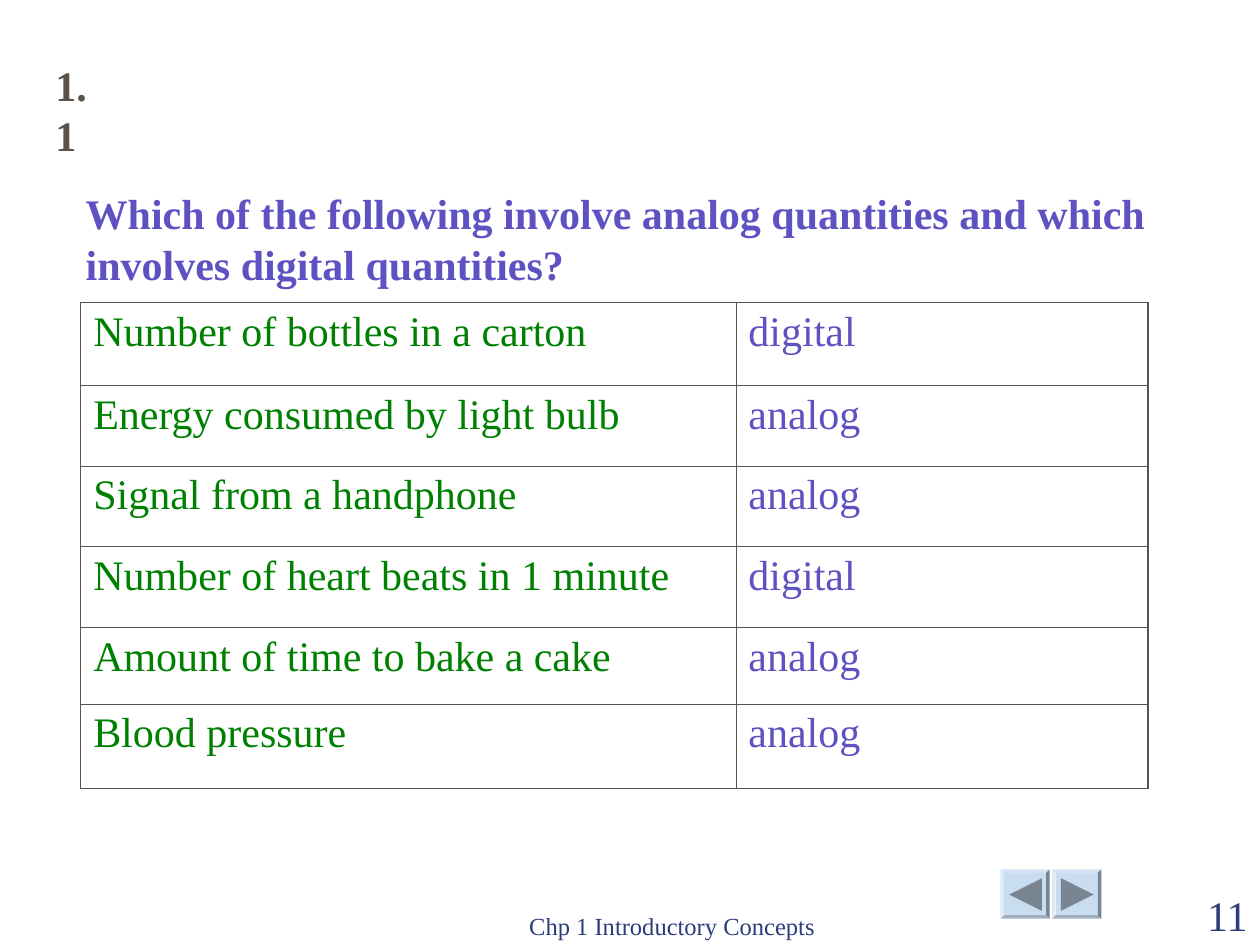
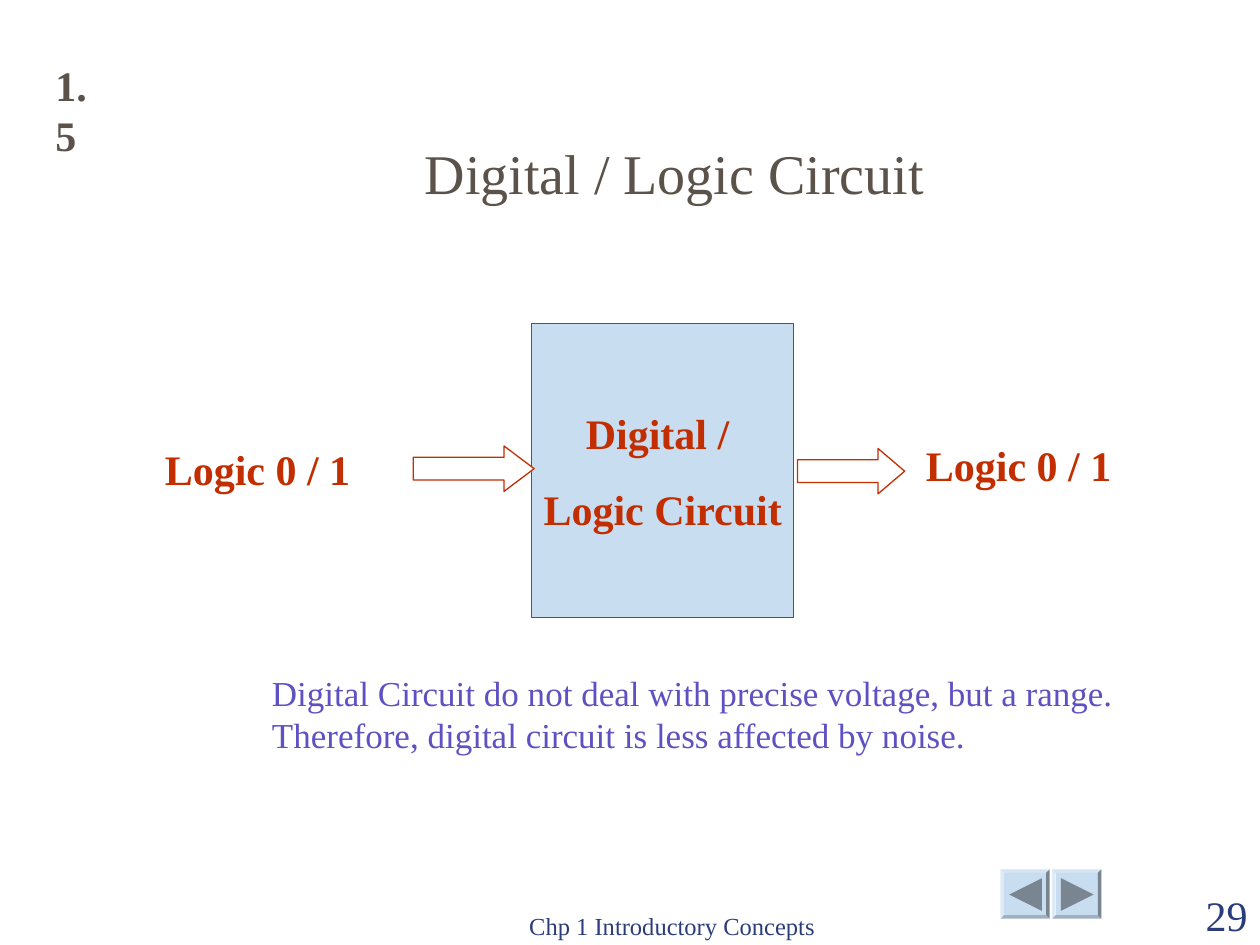
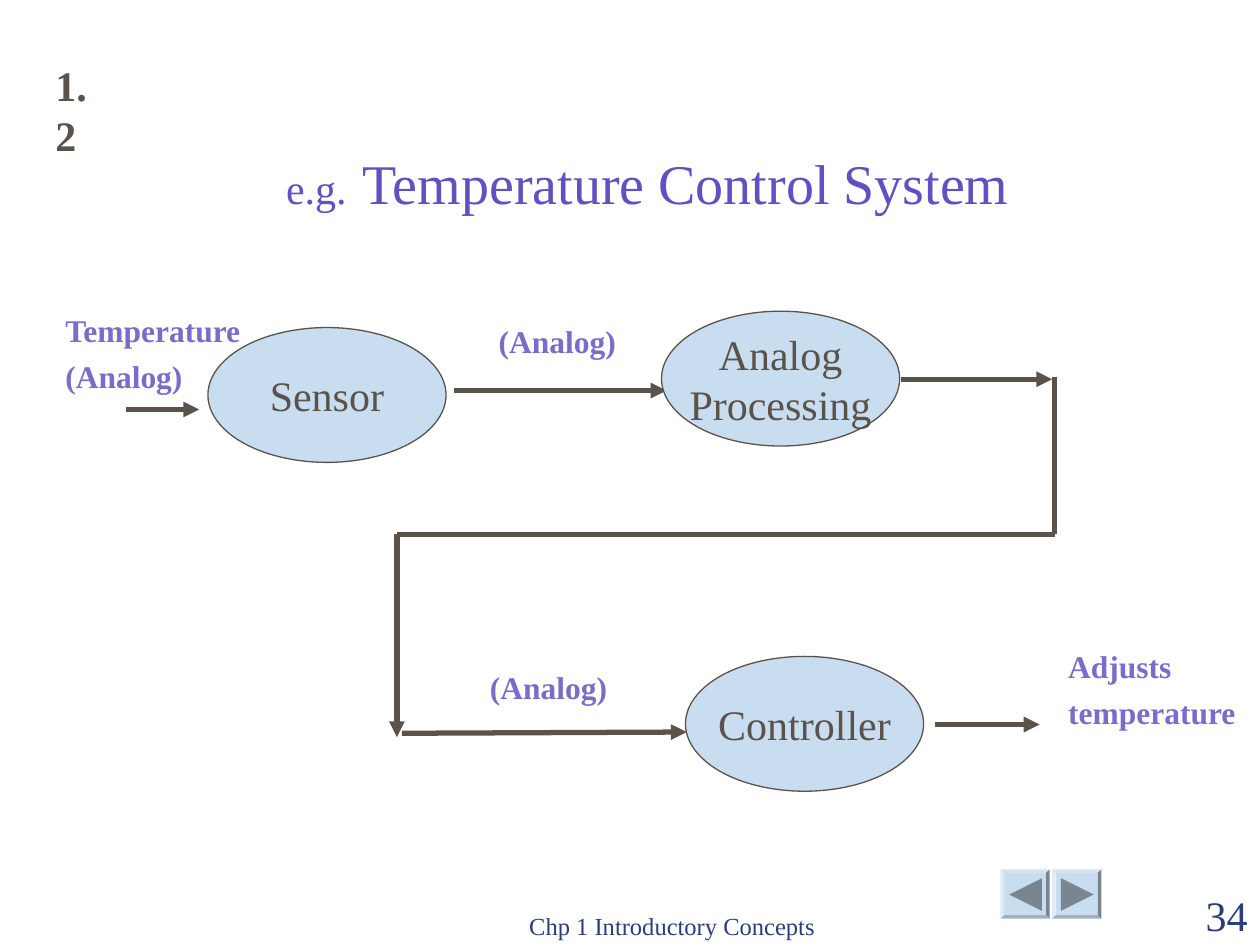
from lxml.etree import SubElement
from pptx import Presentation
from pptx.dml.color import RGBColor
from pptx.enum.shapes import MSO_CONNECTOR, MSO_SHAPE
from pptx.enum.text import MSO_ANCHOR, MSO_AUTO_SIZE, PP_ALIGN
from pptx.oxml.ns import qn
from pptx.util import Inches, Pt

FONT = "Times New Roman"
BROWN = RGBColor(0x5B, 0x52, 0x49)
PURPLE = RGBColor(0x5E, 0x51, 0xC1)
LILAC = RGBColor(0x78, 0x6D, 0xCB)
GREEN = RGBColor(0x00, 0x80, 0x00)
RED = RGBColor(0xC2, 0x2E, 0x00)
NAVY = RGBColor(0x2A, 0x3D, 0x7A)
PALE_BLUE = RGBColor(0xC9, 0xDD, 0xF1)
GREY = RGBColor(0x79, 0x85, 0x91)
WHITE = RGBColor(0xFF, 0xFF, 0xFF)

HEADING = {"size": Pt(24), "bold": True, "color": BROWN}
QUESTION = {"size": Pt(24), "bold": True, "color": PURPLE}
TITLE = {"size": Pt(32), "bold": False, "color": BROWN}
LOGIC = {"size": Pt(24), "bold": True, "color": RED}
NOTE = {"size": Pt(20), "color": PURPLE}
STAGE = {"size": Pt(24), "color": BROWN}
SIGNAL = {"size": Pt(18), "bold": True, "color": LILAC}
FOOTER = {"size": Pt(14), "color": NAVY}
NUMBER = {"size": Pt(24), "color": NAVY}

FOOTER_TEXT = "Chp 1 Introductory Concepts"
BUTTON_SIZE, BUTTON_TOP = 0.39, 6.9
# left edge of each button, then its triangle as x and y offsets
BUTTONS = [
    (7.94, [(0.07, 0.2), (0.33, 0.07), (0.33, 0.33)]),
    (8.35, [(0.07, 0.07), (0.33, 0.2), (0.07, 0.33)]),
]

QUANTITIES = [
    ("Number of bottles in a carton", "digital"),
    ("Energy consumed by light bulb", "analog"),
    ("Signal from a handphone", "analog"),
    ("Number of heart beats in 1 minute", "digital"),
    ("Amount of time to bake a cake", "analog"),
    ("Blood pressure", "analog"),
]
COLUMN_WIDTHS = [5.2, 3.27]
ROW_HEIGHTS = [0.66, 0.64, 0.64, 0.64, 0.61, 0.67]

# left, top, width, height, head length
LOGIC_ARROWS = [(3.28, 3.54, 0.96, 0.36, 0.664), (6.33, 3.56, 0.85, 0.36, 0.587)]
LOGIC_LABELS = [(1.21, 3.47, 2, 0.5), (7.25, 3.44, 1.79, 0.5)]

STAGE_SIZE = (1.89, 1.07)
STAGES = [
    (1.65, 2.6, ["Sensor"]),
    (5.25, 2.47, ["Analog", "Processing"]),
    (5.44, 5.21, ["Controller"]),
]
# start, end, arrowhead
FLOWS = [
    ((1, 3.25), (1.58, 3.25), True),
    ((3.6, 3.1), (5.29, 3.1), True),
    ((7.15, 3.01), (8.35, 3.01), True),
    ((8.37, 2.99), (8.37, 4.24), False),
    ((8.37, 4.24), (3.15, 4.24), False),
    ((3.15, 4.24), (3.15, 5.85), True),
    ((3.19, 5.82), (5.45, 5.81), True),
    ((7.42, 5.75), (8.25, 5.75), True),
]
SIGNALS = [
    ((0.42, 2.5, 1.61, 0.68), ["Temperature", "(Analog)"]),
    ((3.86, 2.51, 1.13, 0.4), ["(Analog)"]),
    ((3.79, 5.25, 1.13, 0.4), ["(Analog)"]),
    ((8.38, 5.17, 1.53, 0.68), ["Adjusts", "temperature"]),
]


def inches(values):
    return [Inches(value) for value in values]


def add_span(para, text, style):
    span = para.add_run()
    span.text = text
    span.font.name = FONT
    for key, value in style.items():
        if key == "color":
            span.font.color.rgb = value
        else:
            setattr(span.font, key, value)


def write(frame, lines, style, gap=0, **layout):
    """Fill a text frame; gap is the space in points between paragraphs."""
    for index, line in enumerate(lines):
        para = frame.add_paragraph() if index else frame.paragraphs[0]
        for key, value in layout.items():
            setattr(para, key, value)
        if index and gap:
            para.space_before = Pt(gap)
        add_span(para, line, style)


def add_text(page, place, lines, style, wrap=True, anchor=MSO_ANCHOR.TOP, **options):
    frame = page.shapes.add_textbox(*inches(place)).text_frame
    frame.word_wrap = wrap
    frame.vertical_anchor = anchor
    write(frame, lines, style, **options)


def paint(shape, fill, line=None):
    shape.shadow.inherit = False
    shape.fill.solid()
    shape.fill.fore_color.rgb = fill
    if line is None:
        shape.line.fill.background()
    else:
        shape.line.color.rgb = line
        shape.line.width = Pt(0.75)


def add_block(page, kind, place, fill, line=None):
    block = page.shapes.add_shape(kind, *inches(place))
    paint(block, fill, line)
    return block


def add_labelled_block(page, kind, place, lines, style, gap=0):
    block = add_block(page, kind, place, PALE_BLUE, BROWN)
    block.text_frame.word_wrap = False
    block.text_frame.vertical_anchor = MSO_ANCHOR.MIDDLE
    write(block.text_frame, lines, style, gap, alignment=PP_ALIGN.CENTER)


def add_flow(page, start, end, arrowhead):
    flow = page.shapes.add_connector(MSO_CONNECTOR.STRAIGHT, *inches(start + end))
    flow.line.color.rgb = BROWN
    flow.line.width = Pt(3)
    properties = flow.element.spPr
    if arrowhead:
        SubElement(properties.find(qn("a:ln")), qn("a:tailEnd"), type="triangle")
    SubElement(properties, qn("a:effectLst"))


def add_button(page, left, triangle):
    bevel = add_block(page, MSO_SHAPE.BEVEL,
                      (left, BUTTON_TOP, BUTTON_SIZE, BUTTON_SIZE), PALE_BLUE)
    bevel.adjustments[0] = 0.07
    points = [inches((left + x, BUTTON_TOP + y)) for x, y in triangle]
    builder = page.shapes.build_freeform(*points[0])
    builder.add_line_segments(points[1:])
    paint(builder.convert_to_shape(), GREY)


def add_page(deck, section, number):
    page = deck.slides.add_slide(deck.slide_layouts[5])
    for left, triangle in BUTTONS:
        add_button(page, left, triangle)
    add_text(page, (3.75, 7.01, 3.17, 0.5), [FOOTER_TEXT], FOOTER,
             anchor=MSO_ANCHOR.BOTTOM, alignment=PP_ALIGN.CENTER)
    add_text(page, (9, 7.01, 1, 0.5), [str(number)], NUMBER,
             anchor=MSO_ANCHOR.BOTTOM, alignment=PP_ALIGN.RIGHT)
    add_text(page, (0.34, 0.42, 0.61, 0.5), [section], HEADING, wrap=False)
    return page


def place_title(page, place, anchor=MSO_ANCHOR.BOTTOM):
    title = page.shapes.title
    title.left, title.top, title.width, title.height = inches(place)
    frame = title.text_frame
    frame.auto_size = MSO_AUTO_SIZE.NONE
    frame.word_wrap = True
    frame.vertical_anchor = anchor
    return frame


def set_borders(cell, widths):
    properties = cell._tc.get_or_add_tcPr()
    for index, (side, width) in enumerate(widths.items()):
        line = properties.makeelement(qn(f"a:ln{side}"), {"w": str(Pt(width))})
        fill = SubElement(line, qn("a:solidFill"))
        SubElement(fill, qn("a:srgbClr"), val=str(BROWN))
        properties.insert(index, line)


def build_quantities(deck):
    page = add_page(deck, "1.1", 11)
    frame = place_title(page, (0.58, 1.44, 9.42, 0.86), MSO_ANCHOR.TOP)
    write(frame, ["Which of the following involve analog quantities and which "
                  "involves digital quantities?"], QUESTION, alignment=PP_ALIGN.LEFT)
    place = (0.64, 2.4, sum(COLUMN_WIDTHS), sum(ROW_HEIGHTS))
    table = page.shapes.add_table(len(QUANTITIES), 2, *inches(place)).table
    table.first_row = table.horz_banding = False
    for column, width in zip(table.columns, COLUMN_WIDTHS):
        column.width = Inches(width)
    thin, thick = 0.45, 1.08
    last = len(QUANTITIES) - 1
    for row, texts in enumerate(QUANTITIES):
        table.rows[row].height = Inches(ROW_HEIGHTS[row])
        for column, (text, color) in enumerate(zip(texts, (GREEN, PURPLE))):
            cell = table.cell(row, column)
            cell.fill.background()
            write(cell.text_frame, [text], {"size": Pt(24), "color": color})
            set_borders(cell, {
                "L": thin if column else thick,
                "R": thick if column else thin,
                "T": thick if column and row == 0 else thin,
                "B": thick if row == last else thin,
            })


def build_logic_circuit(deck):
    page = add_page(deck, "1.5", 29)
    write(place_title(page, (0.98, 0.91, 8.75, 0.77)), ["Digital / Logic Circuit"],
          TITLE, alignment=PP_ALIGN.CENTER)
    add_labelled_block(page, MSO_SHAPE.RECTANGLE, (4.22, 2.57, 2.08, 2.33),
                       ["Digital / ", "Logic Circuit"], LOGIC, gap=15)
    for *place, head in LOGIC_ARROWS:
        arrow = add_block(page, MSO_SHAPE.RIGHT_ARROW, place, WHITE, RED)
        arrow.adjustments[1] = head
    for place in LOGIC_LABELS:
        add_text(page, place, ["Logic 0 / 1"], LOGIC)
    add_text(page, (2.06, 5.28, 6.89, 0.77),
             ["Digital Circuit do not deal with precise voltage, but a range. "
              "Therefore, digital circuit is less affected by noise."], NOTE)


def build_temperature_control(deck):
    page = add_page(deck, "1.2", 34)
    frame = place_title(page, (1.92, 1.1, 6.49, 0.67))
    frame.margin_left = Inches(0.35)
    para = frame.paragraphs[0]
    para.alignment = PP_ALIGN.LEFT
    for text, size in [("e.g.", 24), (" ", 36), ("Temperature Control System", 32)]:
        add_span(para, text, {"size": Pt(size), "bold": text == " ", "color": PURPLE})
    for flow in FLOWS:
        add_flow(page, *flow)
    for place, lines in SIGNALS:
        stacked = len(lines) > 1
        add_text(page, place, lines, SIGNAL, wrap=not stacked, gap=11.2,
                 line_spacing=0.7 if stacked else 1.0)
    for left, top, lines in STAGES:
        add_labelled_block(page, MSO_SHAPE.OVAL, (left, top, *STAGE_SIZE), lines, STAGE)


def main():
    deck = Presentation()
    deck.slide_width, deck.slide_height = inches((10, 7.5))
    build_quantities(deck)
    build_logic_circuit(deck)
    build_temperature_control(deck)
    deck.save("out.pptx")


if __name__ == "__main__":
    main()
